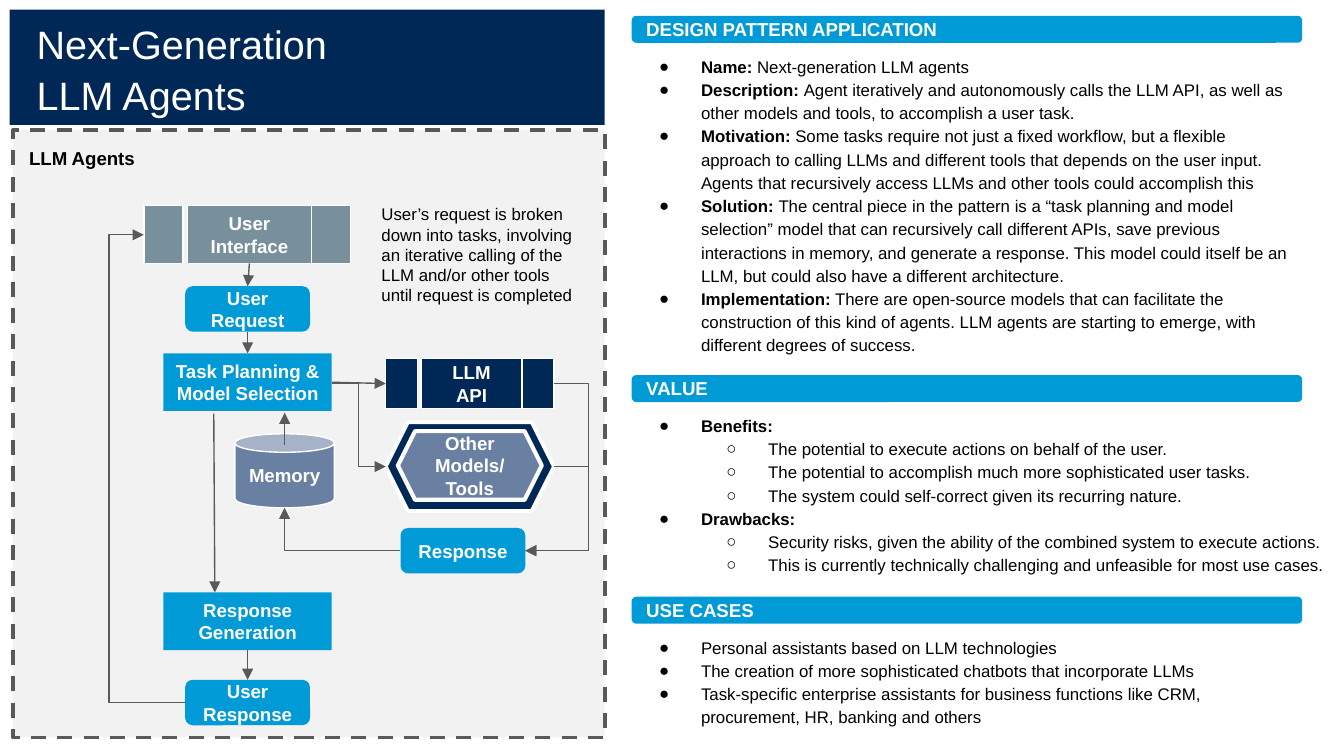
from pptx import Presentation
from pptx.dml.color import RGBColor
from pptx.enum.dml import MSO_LINE
from pptx.enum.shapes import MSO_CONNECTOR, MSO_SHAPE
from pptx.enum.text import MSO_ANCHOR, MSO_AUTO_SIZE, PP_ALIGN
from pptx.oxml.ns import qn
from pptx.util import Cm, Pt
from lxml import etree

WHITE = RGBColor(0xFF, 0xFF, 0xFF)
BLACK = RGBColor(0x00, 0x00, 0x00)
NAVY = RGBColor(0x00, 0x28, 0x56)
BLUE = RGBColor(0x00, 0x9A, 0xD7)
SLATE = RGBColor(0x6A, 0x80, 0xA3)
GREY_BLUE = RGBColor(0x78, 0x90, 0x9C)
PALE_GREY = RGBColor(0xF2, 0xF2, 0xF2)
DARK_GREY = RGBColor(0x59, 0x59, 0x59)

RECTANGLE, ROUNDED = MSO_SHAPE.RECTANGLE, MSO_SHAPE.ROUNDED_RECTANGLE
HEXAGON, CAN = MSO_SHAPE.HEXAGON, MSO_SHAPE.CAN
STRAIGHT, ELBOW = MSO_CONNECTOR.STRAIGHT, MSO_CONNECTOR.ELBOW
LEFT, CENTER = PP_ALIGN.LEFT, PP_ALIGN.CENTER
TOP, MIDDLE = MSO_ANCHOR.TOP, MSO_ANCHOR.MIDDLE
NO_FIT, GROW = MSO_AUTO_SIZE.NONE, MSO_AUTO_SIZE.SHAPE_TO_FIT_TEXT
DASH = MSO_LINE.DASH
TOP_SIDE, LEFT_SIDE, BOTTOM_SIDE, RIGHT_SIDE = range(4)

FONT = "Arial"
PILL_WIDTH, PILL_HEIGHT = 2.36, 0.86
STEP_WIDTH, STEP_HEIGHT = 3.18, 1.09

SECTIONS = [
    ((11.73, 0.3, 12.88, 6.55), "DESIGN PATTERN APPLICATION", [
        (0, "Name:", " Next-generation LLM agents"),
        (0, "Description: ", "Agent iteratively and autonomously calls the LLM API, as well as "
            "other models and tools, to accomplish a user task."),
        (0, "Motivation: ", "Some tasks require not just a fixed workflow, but a flexible "
            "approach to calling LLMs and different tools that depends on the user input. "
            "Agents that recursively access LLMs and other tools could accomplish this"),
        (0, "Solution: ", "The central piece in the pattern is a “task planning and model "
            "selection” model that can recursively call different APIs, save previous "
            "interactions in memory, and generate a response. This model could itself be an "
            "LLM, but could also have a different architecture."),
        (0, "Implementation:", " There are open-source models that can facilitate the "
            "construction of this kind of agents. LLM agents are starting to emerge, with "
            "different degrees of success."),
    ]),
    ((11.73, 7.09, 13.56, 3.91), "VALUE", [
        (0, "Benefits:", ""),
        (1, "", "The potential to execute actions on behalf of the user."),
        (1, "", "The potential to accomplish much more sophisticated user tasks."),
        (1, "", "The system could self-correct given its recurring nature."),
        (0, "Drawbacks:", ""),
        (1, "", "Security risks, given the ability of the combined system to execute actions."),
        (1, "", "This is currently technically challenging and unfeasible for most use cases."),
    ]),
    ((11.73, 11.28, 12.88, 2.61), "USE CASES", [
        (0, "", "Personal assistants based on LLM technologies"),
        (0, "", "The creation of more sophisticated chatbots that incorporate LLMs"),
        (0, "", "Task-specific enterprise assistants for business functions like CRM, "
            "procurement, HR, banking and others"),
    ]),
]


def add_span(para, text, size, color, bold=False):
    span = para.add_run()
    span.text = text
    span.font.name, span.font.size, span.font.bold = FONT, Pt(size), bold
    span.font.color.rgb = color


def set_frame(frame, anchor, side, end, fit=NO_FIT):
    frame.word_wrap, frame.vertical_anchor, frame.auto_size = True, anchor, fit
    frame.margin_left = frame.margin_right = Cm(side)
    frame.margin_top = frame.margin_bottom = Cm(end)


def add_block(shapes, kind, box, fill, label="", line=None, width=0.75, align=CENTER):
    """Add a filled shape; a newline in the label is a line break."""
    block = shapes.add_shape(kind, *map(Cm, box))
    block.shadow.inherit = False
    block.fill.solid()
    block.fill.fore_color.rgb = fill
    if line is None:
        block.line.fill.background()
    else:
        block.line.color.rgb, block.line.width = line, Pt(width)
    if label:
        set_frame(block.text_frame, MIDDLE, *((0.25, 0.25) if kind == ROUNDED else (0.18, 0.1)))
        para = block.text_frame.paragraphs[0]
        para.alignment = align
        for index, text in enumerate(label.split("\n")):
            if index:
                para.add_line_break()
            add_span(para, text, 10, WHITE, True)
    return block


def add_note(page, box, text, size, bold=False):
    note = page.shapes.add_textbox(*map(Cm, box))
    set_frame(note.text_frame, TOP, 0.25, 0.25, GROW)
    add_span(note.text_frame.paragraphs[0], text, size, BLACK, bold)


def add_three_part_block(page, box, fill, label):
    """Add a labelled middle part between two side parts; return all three."""
    left, top, width, height = box
    group = page.shapes.add_group_shape()
    return [add_block(group.shapes, RECTANGLE, (left + start * width, top, share * width, height),
                      fill, text, WHITE)
            for start, share, text in ((0, 0.19, ""), (0.21, 0.6, label), (0.81, 0.19, ""))]


def add_arrow(page, begin, end, kind=STRAIGHT):
    arrow = page.shapes.add_connector(kind, *map(Cm, begin + end))
    arrow.line.color.rgb, arrow.line.width = DARK_GREY, Pt(0.75)
    properties = arrow._element.spPr
    etree.SubElement(properties.find(qn("a:ln")), qn("a:tailEnd"), type="triangle")
    etree.SubElement(properties, qn("a:effectLst"))
    return arrow


def join(page, source, source_side, target, target_side):
    arrow = add_arrow(page, (0, 0), (1, 1))
    arrow.begin_connect(source, source_side)
    arrow.end_connect(target, target_side)


def add_elbow(page, begin, end, turn=None):
    """Bend at the given x, or only once if there is none."""
    geometry = add_arrow(page, begin, end, ELBOW)._element.spPr.find(qn("a:prstGeom"))
    if turn is None:
        geometry.set("prst", "bentConnector2")
        return
    share = round((turn - begin[0]) / (end[0] - begin[0]) * 100000)
    guides = geometry.find(qn("a:avLst"))
    etree.SubElement(guides, qn("a:gd"), name="adj1", fmla=f"val {share}")


def place_title(page, box):
    title = page.shapes.title
    title.left, title.top, title.width, title.height = map(Cm, box)
    title.fill.solid()
    title.fill.fore_color.rgb = NAVY
    frame = title.text_frame
    set_frame(frame, MIDDLE, 0.51, 0)
    for index, text in enumerate(("Next-Generation", "LLM Agents")):
        para = frame.add_paragraph() if index else frame.paragraphs[0]
        para.alignment, para.line_spacing = LEFT, 1.08
        add_span(para, text, 21.2, WHITE)


def draw_agent_flow(page, box):
    left, top, _, _ = box
    shapes = page.shapes
    panel = add_block(shapes, RECTANGLE, box, PALE_GREY, line=DARK_GREY, width=2)
    panel.line.dash_style = DASH

    def at(x, y):
        return left + x, top + y

    def pill(center, y, label):
        return add_block(shapes, ROUNDED, (*at(center - PILL_WIDTH / 2, y), PILL_WIDTH, PILL_HEIGHT),
                         BLUE, label)

    def step(y, label):
        return add_block(shapes, RECTANGLE, (*at(main_x - STEP_WIDTH / 2, y), STEP_WIDTH, STEP_HEIGHT),
                         BLUE, label)

    main_x = 4.43
    add_note(page, (*at(0.05, 0.11), 3.76, 0.94), "LLM Agents", 10, True)
    add_note(page, (*at(6.71, 1.15), 4.27, 2.44),
             "User’s request is broken down into tasks, involving an iterative calling of the "
             "LLM and/or other tools until request is completed", 9)

    interface = add_three_part_block(page, (*at(2.47, 1.43), 3.91, 1.09), GREY_BLUE,
                                     "User Interface")
    request = pill(main_x, 2.95, "User\nRequest")
    planning = step(4.22, "Task Planning & Model Selection")
    generation = step(8.74, "Response Generation")
    answer = pill(main_x, 10.39, "User Response")
    add_block(shapes, CAN, (*at(4.19, 5.74), 1.88, 1.4), SLATE, "Memory", WHITE)
    api = add_three_part_block(page, (*at(7.04, 4.32), 3.18, 0.94), NAVY, "LLM\nAPI")
    tools = shapes.add_group_shape().shapes
    add_block(tools, HEXAGON, (*at(7.04, 5.52), 3.18, 1.68), NAVY, line=WHITE, width=2)
    add_block(tools, HEXAGON, (*at(7.27, 5.69), 2.72, 1.3), SLATE, "Other Models/\nTools",
              WHITE, 2.25)
    pill(8.5, 7.52, "Response")

    join(page, interface[1], BOTTOM_SIDE, request, TOP_SIDE)
    join(page, request, BOTTOM_SIDE, planning, TOP_SIDE)
    join(page, generation, BOTTOM_SIDE, answer, TOP_SIDE)
    join(page, planning, RIGHT_SIDE, api[0], LEFT_SIDE)
    add_arrow(page, at(5.13, 5.95), at(5.13, 5.34))
    add_arrow(page, at(3.79, 5.36), at(3.81, 8.74))
    add_elbow(page, at(3.25, 10.82), at(2.47, 1.98), left + 1.81)
    add_elbow(page, at(6.02, 4.78), at(7.04, 6.36), left + 6.53)
    for y in (4.79, 6.36):
        add_elbow(page, at(10.22, y), at(9.68, 7.95), left + 10.88)
    add_elbow(page, at(7.32, 7.95), at(5.13, 7.14))


def format_bullet(para, level):
    para.level = level
    properties = para._p.get_or_add_pPr()
    properties.set("marL", str(int(Cm(1.27 * (level + 1)))))
    properties.set("indent", str(int(Cm(-0.79))))
    color = etree.SubElement(properties, qn("a:buClr"))
    etree.SubElement(color, qn("a:srgbClr"), val=str(BLACK))
    etree.SubElement(properties, qn("a:buFont"), typeface=FONT)
    etree.SubElement(properties, qn("a:buChar"), char="●○"[level])
    para.line_spacing = 1.15


def add_section(page, box, heading, items):
    left, top, width, height = box
    add_block(page.shapes, ROUNDED, (left + 0.21, top, 12.67, 0.51), BLUE, heading, align=LEFT)
    body = page.shapes.add_textbox(*map(Cm, (left, top + 0.58, width, height - 0.58)))
    frame = body.text_frame
    set_frame(frame, TOP, 0.25, 0.13, GROW)
    for index, (level, lead, text) in enumerate(items):
        para = frame.add_paragraph() if index else frame.paragraphs[0]
        format_bullet(para, level)
        if lead:
            add_span(para, lead, 9, BLACK, True)
        if text:
            add_span(para, text, 9, BLACK)


def main():
    deck = Presentation()
    deck.slide_width, deck.slide_height = Cm(25.4), Cm(14.29)
    page = deck.slides.add_slide(deck.slide_layouts[5])
    place_title(page, (0.18, 0.18, 11.25, 2.18))
    draw_agent_flow(page, (0.25, 2.46, 11.18, 11.48))
    for box, heading, items in SECTIONS:
        add_section(page, box, heading, items)
    deck.save("out.pptx")


if __name__ == "__main__":
    main()
